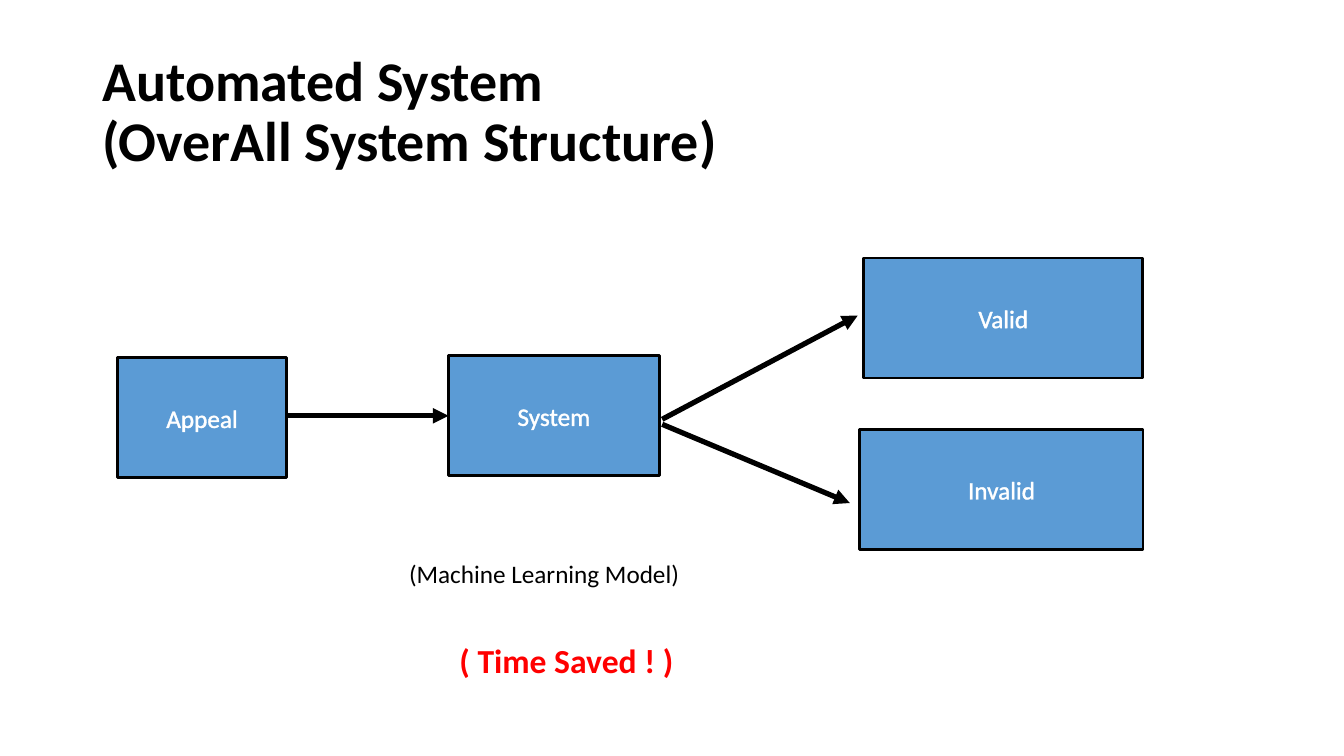
from lxml import etree
from pptx import Presentation
from pptx.dml.color import RGBColor
from pptx.enum.shapes import MSO_CONNECTOR, MSO_SHAPE
from pptx.enum.text import MSO_ANCHOR, MSO_AUTO_SIZE, PP_ALIGN
from pptx.oxml.ns import qn
from pptx.util import Pt

RECTANGLE = MSO_SHAPE.RECTANGLE
STRAIGHT = MSO_CONNECTOR.STRAIGHT
MIDDLE = MSO_ANCHOR.MIDDLE
FIT_TEXT = MSO_AUTO_SIZE.SHAPE_TO_FIT_TEXT
LEFT, CENTER = PP_ALIGN.LEFT, PP_ALIGN.CENTER
LEFT_SIDE = 1


def color(value):
    return RGBColor.from_string(value)


class FlowSlide:
    font = "Calibri"
    black = "000000"
    white = "FFFFFF"
    blue = "5B9BD5"
    red = "FF0000"
    box_height = 85.68

    def __init__(self, presentation):
        self.slide = presentation.slides.add_slide(presentation.slide_layouts[6])

    def add_text(self, paragraph, text, size, hex_color, bold=False):
        run = paragraph.add_run()
        run.text = text
        run.font.name = self.font
        run.font.size = Pt(size)
        run.font.bold = bold
        run.font.color.rgb = color(hex_color)
        return run

    def outline(self, run, width):
        line = etree.Element(qn("a:ln"), w=str(Pt(width)))
        fill = etree.SubElement(line, qn("a:solidFill"))
        etree.SubElement(fill, qn("a:srgbClr"), val=self.white)
        run.font._element.insert(0, line)

    def text_box(self, left, top, width, height):
        shape = self.slide.shapes.add_textbox(Pt(left), Pt(top), Pt(width), Pt(height))
        shape.text_frame.word_wrap = True
        return shape.text_frame

    def title(self, lines, left, top, width, height):
        frame = self.text_box(left, top, width, height)
        frame.vertical_anchor = MIDDLE
        paragraph = frame.paragraphs[0]
        paragraph.alignment = LEFT
        paragraph.line_spacing = 0.9
        for index, line in enumerate(lines):
            if index:
                paragraph.add_line_break()
            self.add_text(paragraph, line, 40, self.black, True)

    def note(self, text, left, top, width, height, size, hex_color, bold=False):
        frame = self.text_box(left, top, width, height)
        frame.auto_size = FIT_TEXT
        self.add_text(frame.paragraphs[0], text, size, hex_color, bold)

    def box(self, text, left, top, width, text_outline=0.75):
        shape = self.slide.shapes.add_shape(
            RECTANGLE, Pt(left), Pt(top), Pt(width), Pt(self.box_height))
        shape.shadow.inherit = False
        shape.fill.solid()
        shape.fill.fore_color.rgb = color(self.blue)
        shape.line.color.rgb = color(self.black)
        shape.line.width = Pt(2)
        shape.text_frame.vertical_anchor = MIDDLE
        paragraph = shape.text_frame.paragraphs[0]
        paragraph.alignment = CENTER
        self.outline(self.add_text(paragraph, text, 18, self.white), text_outline)
        return shape

    def arrow(self, start_x, start_y, end_x, end_y):
        connector = self.slide.shapes.add_connector(
            STRAIGHT, Pt(start_x), Pt(start_y), Pt(end_x), Pt(end_y))
        connector.line.color.rgb = color(self.black)
        connector.line.width = Pt(3.75)
        properties = connector._element.spPr
        etree.SubElement(properties.find(qn("a:ln")), qn("a:tailEnd"), type="triangle")
        etree.SubElement(properties, qn("a:effectLst"))
        return connector


def main():
    presentation = Presentation()
    presentation.slide_width = Pt(960)
    presentation.slide_height = Pt(540)
    flow = FlowSlide(presentation)

    flow.title(["Automated System", "(OverAll System Structure)"], 66, 28.8, 828, 104.4)

    flow.box("Appeal", 84.24, 255.6, 120.24)
    appeal_arrow = flow.arrow(205.9, 297, 320.4, 297)
    system = flow.box("System", 320.4, 254.16, 150.48, 1.5)
    appeal_arrow.end_connect(system, LEFT_SIDE)

    flow.arrow(473, 303.1, 607, 359.3)
    flow.arrow(473, 299.5, 612.7, 225.4)
    flow.box("Valid", 617, 184.3, 199.4)
    flow.box("Invalid", 614.2, 306.7, 202.3)

    flow.note("(Machine Learning Model)", 285.1, 395.3, 235.4, 28.8, 18, flow.black)
    flow.note("( Time Saved ! )", 321.1, 453.2, 294.5, 36.4, 24, flow.red, True)

    presentation.save("out.pptx")


if __name__ == "__main__":
    main()
